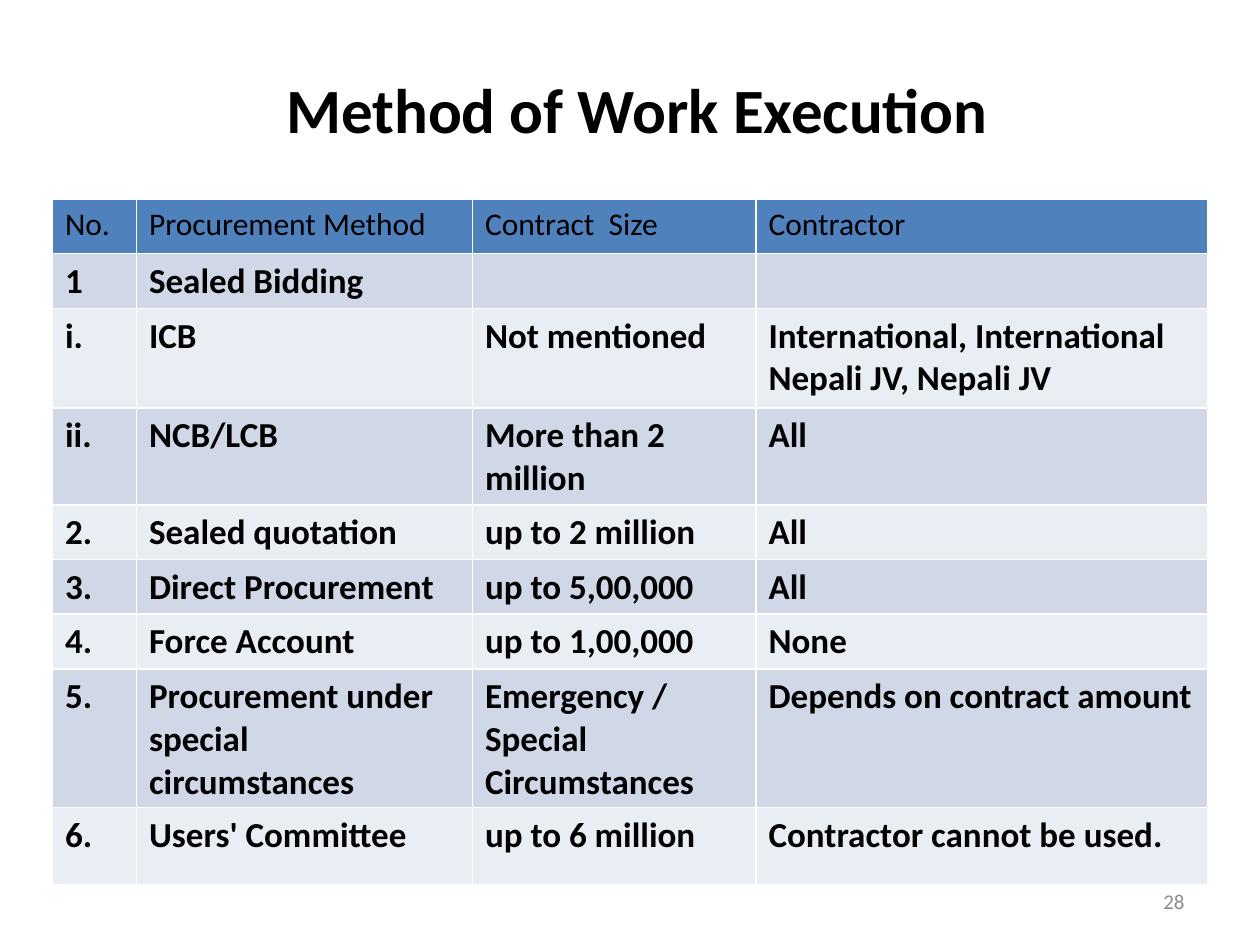
import dataclasses

import pptx
import pptx.dml.color
import pptx.enum.text
import pptx.slide
import pptx.util

Pt = pptx.util.Pt
RGB = pptx.dml.color.RGBColor.from_string
ALIGN = pptx.enum.text.PP_ALIGN
MIDDLE = pptx.enum.text.MSO_ANCHOR.MIDDLE


@dataclasses.dataclass(frozen=True)
class Style:
    size: float
    color: str = "000000"
    bold: bool = False


@dataclasses.dataclass(frozen=True)
class Theme:
    font: str = "Calibri"
    title: Style = Style(36, bold=True)
    header: Style = Style(18)
    body: Style = Style(20, bold=True)
    number: Style = Style(12, "8C8C8C")
    header_fill: str = "4F81BD"
    bands: tuple[str, str] = ("D0D8E8", "E9EDF4")


@dataclasses.dataclass(frozen=True)
class Method:
    no: str
    name: str
    size: str
    contractor: str
    height: float = 31


THEME = Theme()
COLUMN_WIDTHS = (48, 192, 162, 258)
HEADER = Method("No.", "Procurement Method", "Contract  Size", "Contractor")
METHODS = (
    Method("1", "Sealed Bidding", "", ""),
    Method("i.", "ICB", "Not mentioned",
           "International, International Nepali JV, Nepali JV", 57),
    Method("ii.", "NCB/LCB", "More than 2 million", "All"),
    Method("2.", "Sealed quotation", "up to 2 million", "All"),
    Method("3.", "Direct Procurement", "up to 5,00,000", "All"),
    Method("4.", "Force Account", "up to 1,00,000", "None"),
    Method("5.", "Procurement under special circumstances",
           "Emergency / Special Circumstances", "Depends on contract amount", 57),
    Method("6.", "Users' Committee", "up to 6 million",
           "Contractor cannot be used.", 44),
)


def add_text(tf, text: str, style: Style, align=ALIGN.LEFT) -> None:
    p = tf.paragraphs[0]
    p.alignment = align
    r = p.add_run()
    r.text = text
    r.font.name = THEME.font
    r.font.size = Pt(style.size)
    r.font.bold = style.bold
    r.font.color.rgb = RGB(style.color)


def add_title(s: pptx.slide.Slide, text: str) -> None:
    sp = s.shapes.title
    sp.left, sp.top, sp.width, sp.height = Pt(36), Pt(21.6), Pt(648), Pt(81)
    sp.text_frame.vertical_anchor = MIDDLE
    add_text(sp.text_frame, text, THEME.title, ALIGN.CENTER)


def add_slide_number(s: pptx.slide.Slide, text: str) -> None:
    sp = s.shapes.add_textbox(Pt(516), Pt(500.5), Pt(168), Pt(28.75))
    tf = sp.text_frame
    tf.word_wrap = True
    tf.vertical_anchor = MIDDLE
    add_text(tf, text, THEME.number, ALIGN.RIGHT)


def fill_row(table, i: int, method: Method, style: Style, fill: str) -> None:
    table.rows[i].height = Pt(method.height)
    values = (method.no, method.name, method.size, method.contractor)
    for cell, value in zip(table.rows[i].cells, values):
        cell.fill.solid()
        cell.fill.fore_color.rgb = RGB(fill)
        if value:
            add_text(cell.text_frame, value, style)


def add_methods_table(s: pptx.slide.Slide) -> None:
    height = HEADER.height + sum(m.height for m in METHODS)
    table = s.shapes.add_table(
        len(METHODS) + 1, len(COLUMN_WIDTHS),
        Pt(30), Pt(114), Pt(sum(COLUMN_WIDTHS)), Pt(height)).table
    for column, width in zip(table.columns, COLUMN_WIDTHS):
        column.width = Pt(width)
    fill_row(table, 0, HEADER, THEME.header, THEME.header_fill)
    for i, method in enumerate(METHODS):
        fill_row(table, i + 1, method, THEME.body, THEME.bands[i % 2])


def main() -> None:
    prs = pptx.Presentation()
    prs.slide_width, prs.slide_height = Pt(720), Pt(540)
    s = prs.slides.add_slide(prs.slide_layouts[5])  # title only

    # Heading, page number and table
    add_title(s, " Method of Work Execution")
    add_slide_number(s, "28")
    add_methods_table(s)

    prs.save("out.pptx")


if __name__ == "__main__":
    main()
